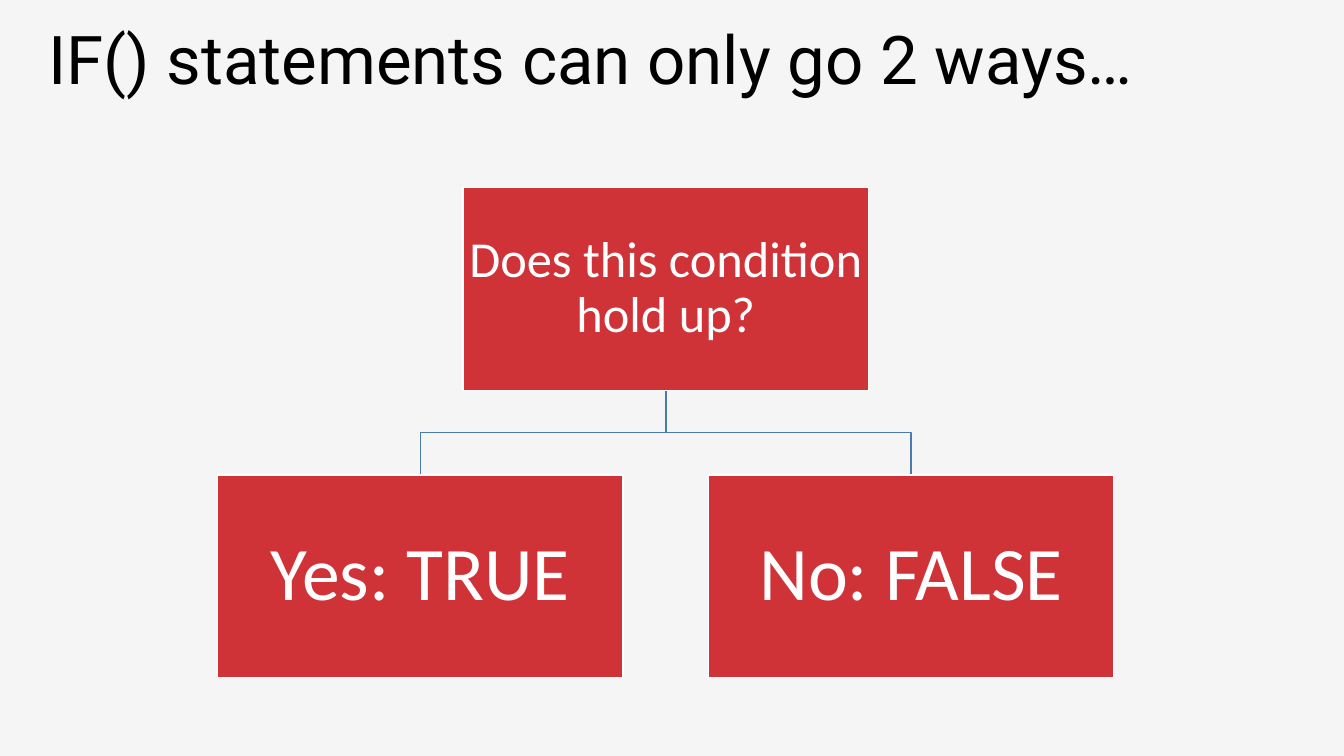
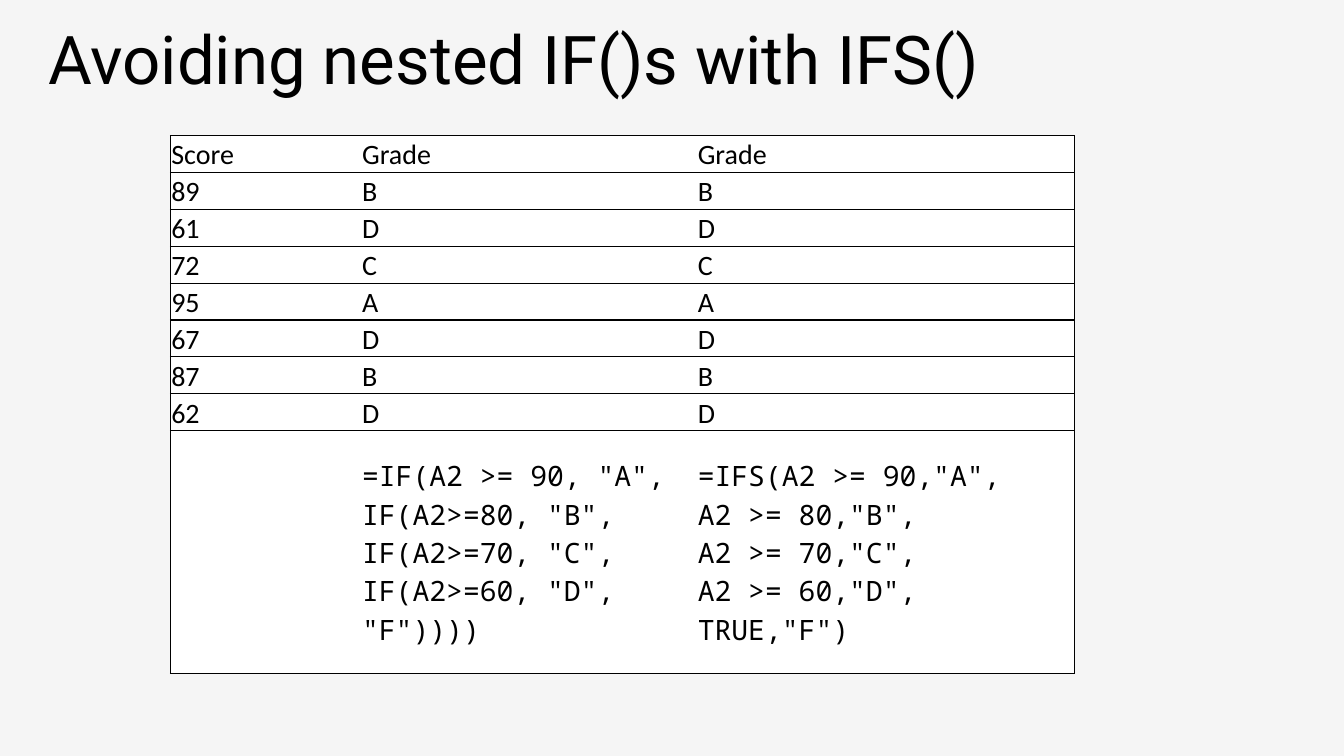
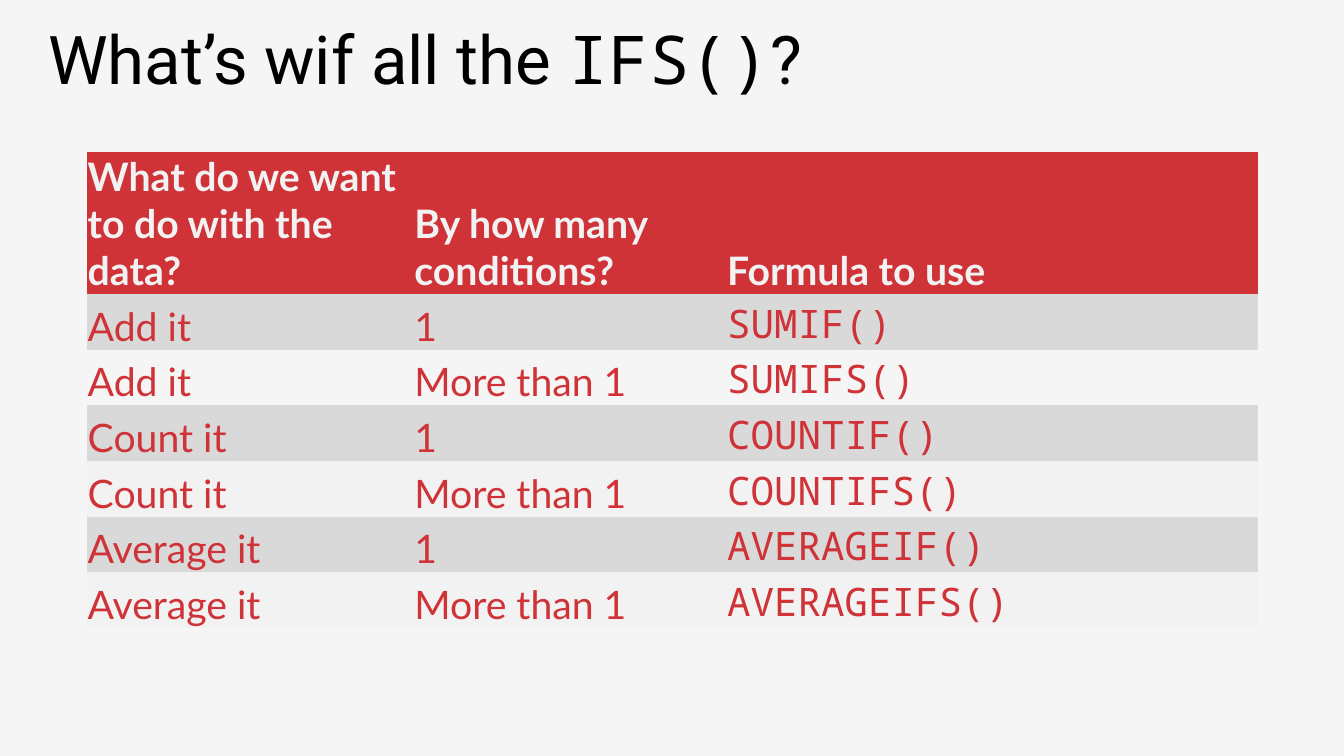
"""Build three slides on IF() and IFS() formulas."""
from dataclasses import dataclass

from lxml import etree
from pptx import Presentation
from pptx.dml.color import RGBColor
from pptx.enum import shapes, text
from pptx.oxml import ns
from pptx.util import Pt


@dataclass(frozen=True)
class Theme:
    paper: RGBColor = RGBColor(0xF5, 0xF5, 0xF5)
    white: RGBColor = RGBColor(0xFF, 0xFF, 0xFF)
    black: RGBColor = RGBColor(0x00, 0x00, 0x00)
    red: RGBColor = RGBColor(0xCF, 0x33, 0x38)
    blue: RGBColor = RGBColor(0x49, 0x7C, 0xAB)
    light: RGBColor = RGBColor(0xF2, 0xF2, 0xF2)
    grey: RGBColor = RGBColor(0xD9, 0xD9, 0xD9)
    title_font: str = "Roboto"
    body_font: str = "Calibri"
    lato_font: str = "Lato"
    code_font: str = "Noto Sans Mono"
    title_size: int = 48
    question_size: int = 36
    answer_size: int = 54
    grade_size: int = 20
    formula_size: int = 28
    plain_table: str = "{2D5ABB26-0587-4C30-8999-92F81FD0307C}"


theme = Theme()
deck = Presentation()
deck.slide_width, deck.slide_height = Pt(960), Pt(540)
master_fill = deck.slide_master.background.fill
master_fill.solid()
master_fill.fore_color.rgb = theme.paper


def add_page(*title_parts):
    """Add a slide whose title alternates between title and code fonts."""
    page = deck.slides.add_slide(deck.slide_layouts[6])
    box = page.shapes.add_textbox(Pt(27.4), Pt(8.6), Pt(815), Pt(65.5))
    box.text_frame.word_wrap = True
    para = box.text_frame.paragraphs[0]
    para.font.name = theme.title_font
    para.font.size = Pt(theme.title_size)
    para.font.color.rgb = theme.black
    for index, part in enumerate(title_parts):
        span = para.add_run()
        span.text = part
        if index % 2:
            span.font.name = theme.code_font
    return page


def add_grid(page, left, top, widths, heights, rows, size):
    """Add an unstyled table with bottom-anchored text and tight margins."""
    frame = page.shapes.add_table(len(rows), len(widths), Pt(left), Pt(top),
                                  Pt(sum(widths)), Pt(sum(heights)))
    table = frame.table
    table._tbl.tblPr.find(ns.qn("a:tableStyleId")).text = theme.plain_table
    for column, width in zip(table.columns, widths):
        column.width = Pt(width)
    for row, height, words in zip(table.rows, heights, rows):
        row.height = Pt(height)
        for cell, word in zip(row.cells, words):
            cell.margin_left = cell.margin_right = cell.margin_top = Pt(0.7)
            cell.margin_bottom = 0
            cell.vertical_anchor = text.MSO_ANCHOR.BOTTOM
            para = cell.text_frame.paragraphs[0]
            para.text = word
            para.font.size = Pt(size)
    return table


page = add_page("IF() statements can only go 2 ways…")
node_width, node_height = 289.6, 144.8
center, question_top, answer_top = 475.6, 134, 339.2
answer_offset = 175.2
question_bottom = question_top + node_height
elbow = (question_bottom + answer_top) / 2
nodes = [
    ("Does this condition hold up?", center, question_top, theme.question_size),
    ("Yes: TRUE", center - answer_offset, answer_top, theme.answer_size),
    ("No: FALSE", center + answer_offset, answer_top, theme.answer_size),
]
for _, middle, _, _ in nodes[1:]:
    builder = page.shapes.build_freeform(Pt(center), Pt(question_bottom))
    builder.add_line_segments(
        [(Pt(center), Pt(elbow)), (Pt(middle), Pt(elbow)), (Pt(middle), Pt(answer_top))],
        close=False)
    branch = builder.convert_to_shape()
    branch.shadow.inherit = False
    branch.fill.background()
    branch.line.color.rgb = theme.blue
    branch.line.width = Pt(1)
for words, middle, top, size in nodes:
    node = page.shapes.add_shape(shapes.MSO_SHAPE.RECTANGLE, Pt(middle - node_width / 2),
                                 Pt(top), Pt(node_width), Pt(node_height))
    node.shadow.inherit = False
    node.fill.solid()
    node.fill.fore_color.rgb = theme.red
    node.line.color.rgb = theme.white
    node.line.width = Pt(1)
    frame = node.text_frame
    frame.word_wrap = True
    frame.vertical_anchor = text.MSO_ANCHOR.MIDDLE
    frame.margin_left = frame.margin_right = Pt(2.5)
    frame.margin_top = frame.margin_bottom = Pt(2.5)
    para = frame.paragraphs[0]
    para.text = words
    para.alignment = text.PP_ALIGN.CENTER
    para.line_spacing = 0.9
    para.font.name = theme.body_font
    para.font.size = Pt(size)
    para.font.color.rgb = theme.white

page = add_page("Avoiding nested IF()s with IFS()")
nested_formula = """=IF(A2 >= 90, "A",
IF(A2>=80, "B",
IF(A2>=70, "C",
IF(A2>=60, "D",
"F"))))"""
flat_formula = """=IFS(A2 >= 90,"A",
A2 >= 80,"B",
A2 >= 70,"C",
A2 >= 60,"D",
TRUE,"F")"""
scores = [("Score", "Grade"), ("89", "B"), ("61", "D"), ("72", "C"),
          ("95", "A"), ("67", "D"), ("87", "B"), ("62", "D")]
rows = [(score, grade, grade) for score, grade in scores]
rows.append(("", nested_formula, flat_formula))
table = add_grid(page, 121.7, 96.9, [136.3, 239.8, 269.8],
                 [26.35] * len(scores) + [173.5], rows, theme.grade_size)
for row_index, row in enumerate(table.rows):
    is_formula = row_index == len(scores)
    for column_index, cell in enumerate(row.cells):
        sides = {0: ["lnL"], 2: ["lnR"]}.get(column_index, []) + ["lnT", "lnB"]
        for side in sides:
            edge = etree.SubElement(cell._tc.get_or_add_tcPr(), ns.qn("a:" + side), w=str(Pt(1)))
            paint = etree.SubElement(edge, ns.qn("a:solidFill"))
            etree.SubElement(paint, ns.qn("a:srgbClr"), val=str(theme.black))
        cell.fill.solid()
        cell.fill.fore_color.rgb = theme.white
        font = cell.text_frame.paragraphs[0].font
        font.name = theme.code_font if is_formula else theme.body_font
        font.color.rgb = theme.black
        if is_formula:
            cell.vertical_anchor = text.MSO_ANCHOR.MIDDLE

page = add_page("What’s wif all the ", "IFS()", "?")
rows = [("What do we want to do with the data?", "By how many conditions?", "Formula to use")]
for action, formula in [("Add", "SUMIF"), ("Count", "COUNTIF"), ("Average", "AVERAGEIF")]:
    rows.append((f"{action} it", "1", f"{formula}()"))
    rows.append((f"{action} it", "More than 1", f"{formula}S()"))
table = add_grid(page, 62, 108.6, [233.4, 223.4, 380], [101.6] + [39.7] * 6,
                 rows, theme.formula_size)
row_fills = [theme.red, theme.grey, None, theme.grey, theme.light, theme.grey, theme.light]
for row_index, (row, color) in enumerate(zip(table.rows, row_fills)):
    is_header = row_index == 0
    for column_index, cell in enumerate(row.cells):
        if color is None:
            cell.fill.background()
        else:
            cell.fill.solid()
            cell.fill.fore_color.rgb = color
        is_code = column_index == 2 and not is_header
        font = cell.text_frame.paragraphs[0].font
        font.name = theme.code_font if is_code else theme.lato_font
        font.bold = is_header
        font.color.rgb = theme.light if is_header else theme.red

deck.save("out.pptx")
